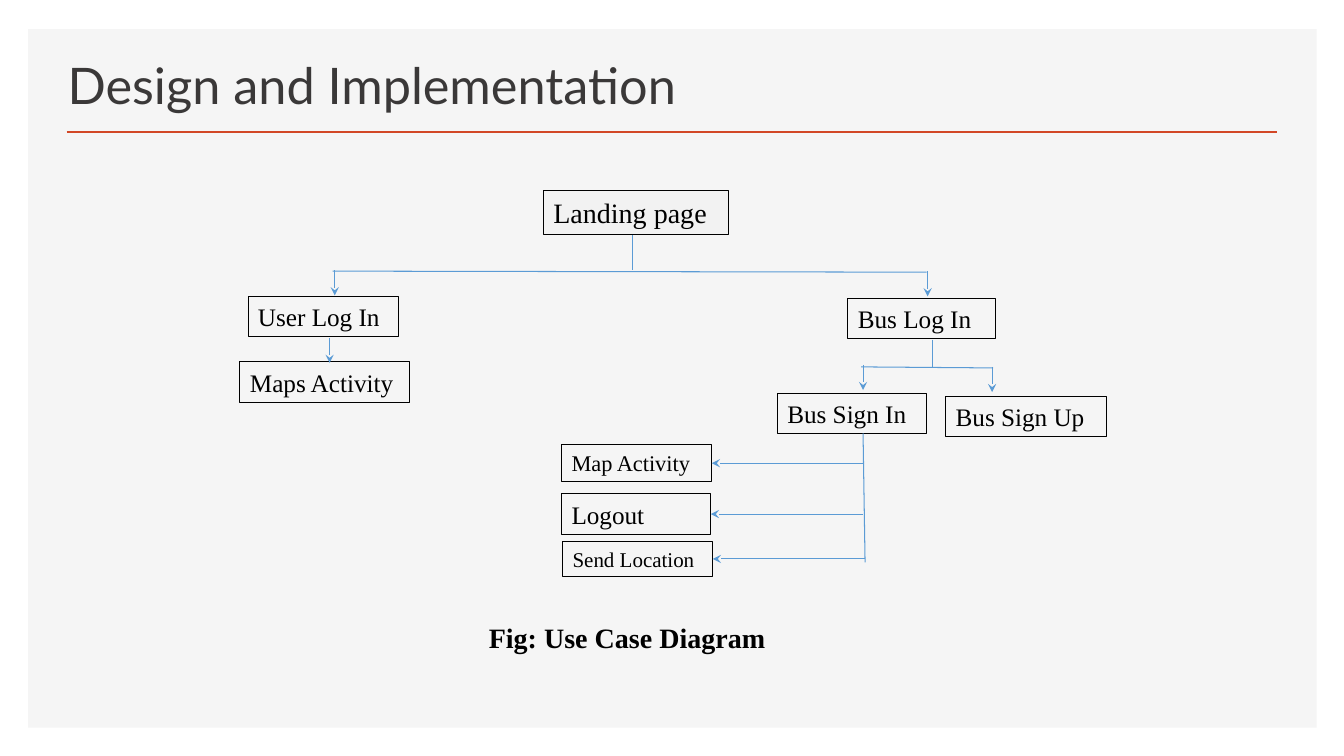
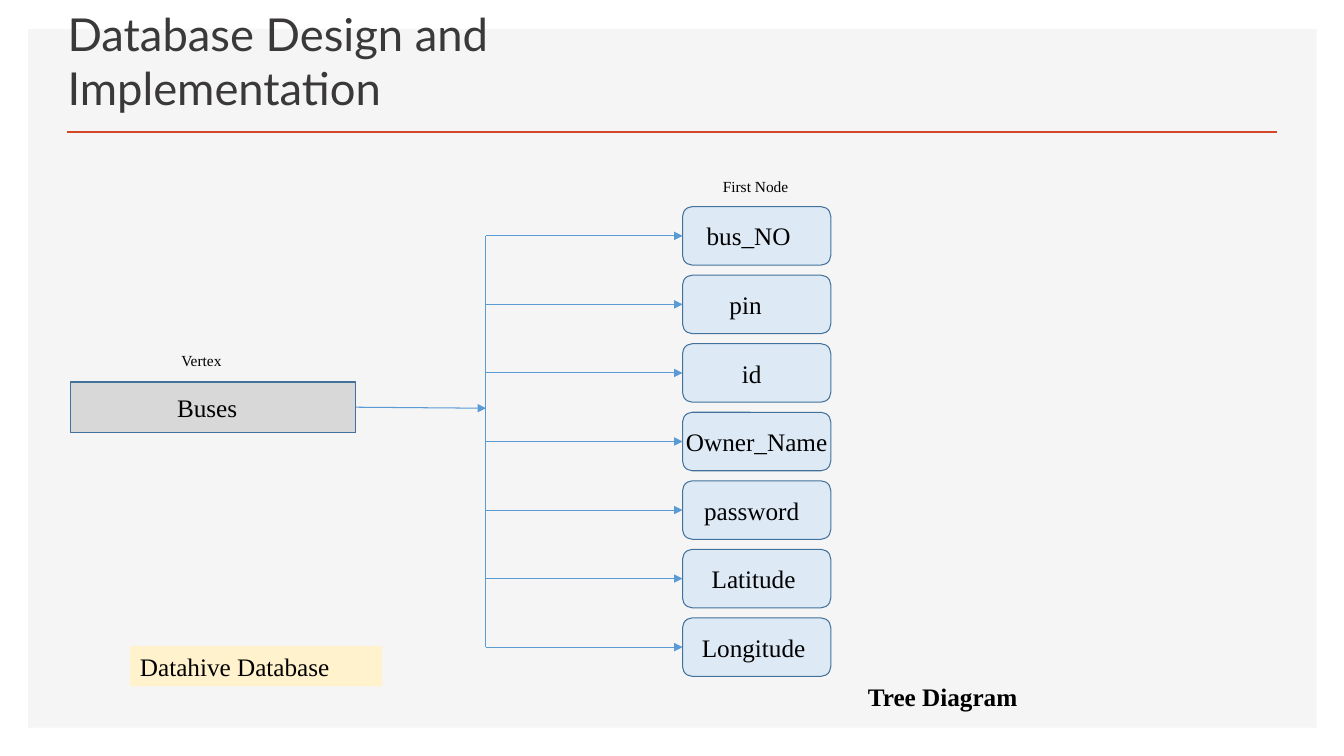
from lxml import etree
from pptx import Presentation
from pptx.dml.color import RGBColor
from pptx.enum.shapes import MSO_CONNECTOR, MSO_SHAPE
from pptx.enum.text import MSO_ANCHOR, MSO_AUTO_SIZE, PP_ALIGN
from pptx.oxml.ns import qn
from pptx.util import Inches, Pt

BLACK = RGBColor(0x00, 0x00, 0x00)
TITLE = RGBColor(0x3A, 0x38, 0x38)
PANEL = RGBColor(0xF5, 0xF5, 0xF5)
RULE = RGBColor(0xD2, 0x47, 0x26)
ARROW = RGBColor(0x5B, 0x9B, 0xD5)
EDGE = RGBColor(0x42, 0x71, 0x9B)
NODE = RGBColor(0xDD, 0xEA, 0xF6)
VERTEX = RGBColor(0xD8, 0xD8, 0xD8)
LANDING = RGBColor(0xF2, 0xF2, 0xF2)
NOTE = RGBColor(0xFF, 0xF2, 0xCC)
BODY_FONT, TITLE_FONT = "Times New Roman", "Lato"
TOP, LEFT, BOTTOM, RIGHT = range(4)

PAGES = [
    ("Landing page", (5.39, 1.89, 1.84, 0.44), 20, LANDING),
    ("User Log In", (2.46, 2.94, 1.49, 0.4), 18, None),
    ("Maps Activity", (2.38, 3.59, 1.68, 0.4), 18, None),
    ("Bus Log In", (8.41, 2.96, 1.46, 0.4), 18, None),
    ("Bus Sign In", (7.71, 3.9, 1.48, 0.4), 18, None),
    ("Bus Sign Up", (9.38, 3.93, 1.6, 0.4), 18, None),
    ("Map Activity", (5.57, 4.41, 1.49, 0.37), 16, None),
    ("Logout", (5.57, 4.9, 1.48, 0.4), 18, None),
    ("Send Location", (5.58, 5.37, 1.49, 0.35), 15, None),
]
BRANCHES = [
    (6.27, 2.33, 6.27, 2.68),
    (3.3, 2.69, 9.19, 2.7),
    (9.25, 3.37, 9.25, 3.65),
    (8.54, 3.64, 9.85, 3.65),
    (8.56, 4.3, 8.58, 5.58),
]
DROPS = [(3.32, 2.68), (9.2, 2.69), (3.27, 3.35), (8.56, 3.62), (9.84, 3.64)]
DROP = 0.25
ACTIONS = [("Map Activity", 8.56), ("Logout", 8.56), ("Send Location", 8.58)]

FIELDS = [("bus_NO", 0.16), ("pin", 0.22), ("id", 0.1), ("Owner_Name", 0),
          ("password", 0.1), ("Latitude", 0.06), ("Longitude", 0.06)]
FIELD_LEFT, FIELD_TOP, FIELD_W, FIELD_H, FIELD_STEP = 6.77, 2.05, 1.47, 0.58, 0.68
TRUNK_X = 4.82
LABELS = [
    ("Vertex", (1.7, 3.43, 0.83, 0.29), 11, False, None),
    ("First Node", (7.07, 1.71, 1.15, 0.29), 11, False, None),
    ("Datahive Database", (1.29, 6.41, 2.5, 0.4), 18, False, NOTE),
    ("Tree Diagram", (8.51, 6.71, 1.73, 0.4), 18, True, None),
]


def add_run(p, text, size, font=BODY_FONT, color=BLACK, bold=False):
    r = p.add_run()
    r.text = text
    r.font.name, r.font.size, r.font.bold = font, Pt(size), bold
    r.font.color.rgb = color


def paint(sp, fill=None):
    if fill is None:
        sp.fill.background()
    else:
        sp.fill.solid()
        sp.fill.fore_color.rgb = fill


def add_box(slide, at, fill=None, line=None, kind=MSO_SHAPE.RECTANGLE):
    sp = slide.shapes.add_shape(kind, *map(Inches, at))
    sp.shadow.inherit = False
    paint(sp, fill)
    if line is None:
        sp.line.fill.background()
    else:
        sp.line.color.rgb = line
        sp.line.width = Pt(0.75)
    return sp


def write(sp, text, size, bold=False, align=PP_ALIGN.LEFT, anchor=MSO_ANCHOR.TOP):
    tf = sp.text_frame
    tf.word_wrap = True
    tf.vertical_anchor = anchor
    p = tf.paragraphs[0]
    p.alignment = align
    add_run(p, text, size, bold=bold)
    return tf


def write_centred(sp, text, right):
    tf = write(sp, text, 18, align=PP_ALIGN.CENTER, anchor=MSO_ANCHOR.MIDDLE)
    tf.word_wrap = False
    tf.margin_left, tf.margin_right = 0, Inches(right)


def add_label(slide, text, at, size, bold=False, fill=None):
    sp = slide.shapes.add_textbox(*map(Inches, at))
    paint(sp, fill)
    write(sp, text, size, bold)


def add_line(slide, x1, y1, x2, y2, head=None, color=ARROW, width=0.75):
    c = slide.shapes.add_connector(MSO_CONNECTOR.STRAIGHT, *map(Inches, (x1, y1, x2, y2)))
    c.line.color.rgb = color
    c.line.width = Pt(width)
    if head:
        etree.SubElement(c.line._get_or_add_ln(), qn("a:tailEnd"), type=head)
    etree.SubElement(c._element.spPr, qn("a:effectLst"))
    return c


def style_layout(layout, slide):
    title = layout.placeholders[0]
    title.left, title.top, title.width, title.height = map(Inches, (0.57, 0.49, 7.52, 0.7))
    panel = add_box(slide, (0.28, 0.29, 12.78, 6.93), PANEL)
    rule = add_line(slide, 0.66, 1.31, 12.67, 1.31, color=RULE, width=2)
    for i, sp in enumerate((panel, rule)):
        layout.shapes.element.insert(2 + i, sp._element)


def set_title(slide, text, size):
    tf = slide.shapes.title.text_frame
    tf.auto_size = MSO_AUTO_SIZE.NONE
    tf.word_wrap = True
    tf.vertical_anchor = MSO_ANCHOR.BOTTOM
    p = tf.paragraphs[0]
    p.alignment = PP_ALIGN.LEFT
    add_run(p, text, size, TITLE_FONT, TITLE)


def build_use_cases(slide):
    set_title(slide, "Design and Implementation", 36)
    boxes = {}
    for text, at, size, fill in PAGES:
        boxes[text] = add_box(slide, at, fill, BLACK)
        write(boxes[text], text, size)
    for ends in BRANCHES:
        add_line(slide, *ends)
    for x, y in DROPS:
        add_line(slide, x, y, x, y + DROP, "stealth")
    for text, x in ACTIONS:
        sp = boxes[text]
        y = (sp.top + sp.height / 2) / Inches(1)
        c = add_line(slide, x, y, x - 1.5, y, "stealth")
        c.end_connect(sp, RIGHT)
    add_label(slide, "Fig: Use Case Diagram", (4.75, 6.11, 3.75, 0.44), 20, True)


def build_tree(slide):
    set_title(slide, "Database Design and Implementation", 32.4)
    vertex = add_box(slide, (0.7, 3.79, 2.83, 0.5), VERTEX, EDGE)
    write_centred(vertex, "Buses", 0.12)
    c = add_line(slide, 3.53, 4.04, TRUNK_X, 4.05, "triangle")
    c.begin_connect(vertex, RIGHT)
    middles = [FIELD_TOP + i * FIELD_STEP + FIELD_H / 2 for i in range(len(FIELDS))]
    add_line(slide, TRUNK_X, middles[0], TRUNK_X, middles[-1])
    for (text, right), y in zip(FIELDS, middles):
        sp = add_box(slide, (FIELD_LEFT, y - FIELD_H / 2, FIELD_W, FIELD_H),
                     NODE, EDGE, MSO_SHAPE.ROUNDED_RECTANGLE)
        write_centred(sp, text, right)
        c = add_line(slide, TRUNK_X, y, FIELD_LEFT, y, "triangle")
        c.end_connect(sp, LEFT)
    for label in LABELS:
        add_label(slide, *label)


def main():
    prs = Presentation()
    prs.slide_width, prs.slide_height = Inches(13.33), Inches(7.5)
    layout = prs.slide_layouts[5]
    use_cases, tree = (prs.slides.add_slide(layout) for _ in range(2))
    style_layout(layout, use_cases)
    build_use_cases(use_cases)
    build_tree(tree)
    prs.save("out.pptx")


if __name__ == "__main__":
    main()
